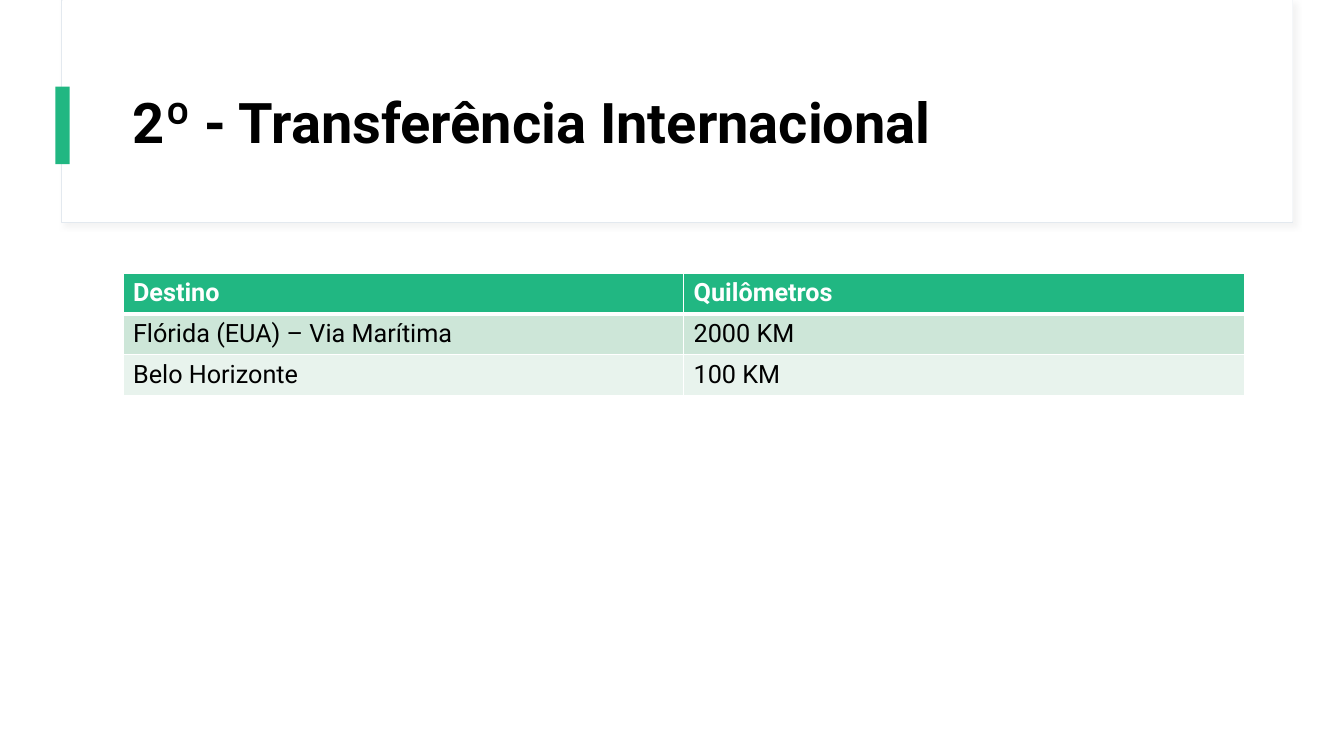
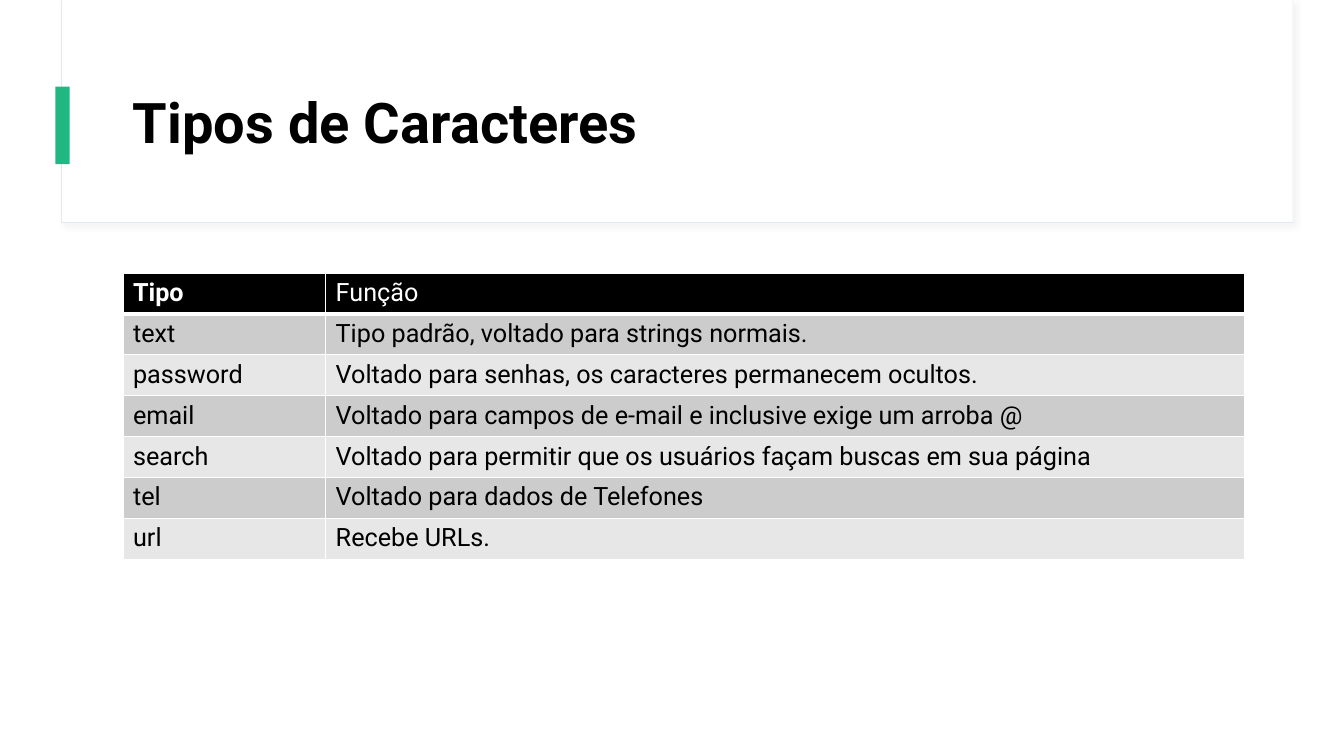
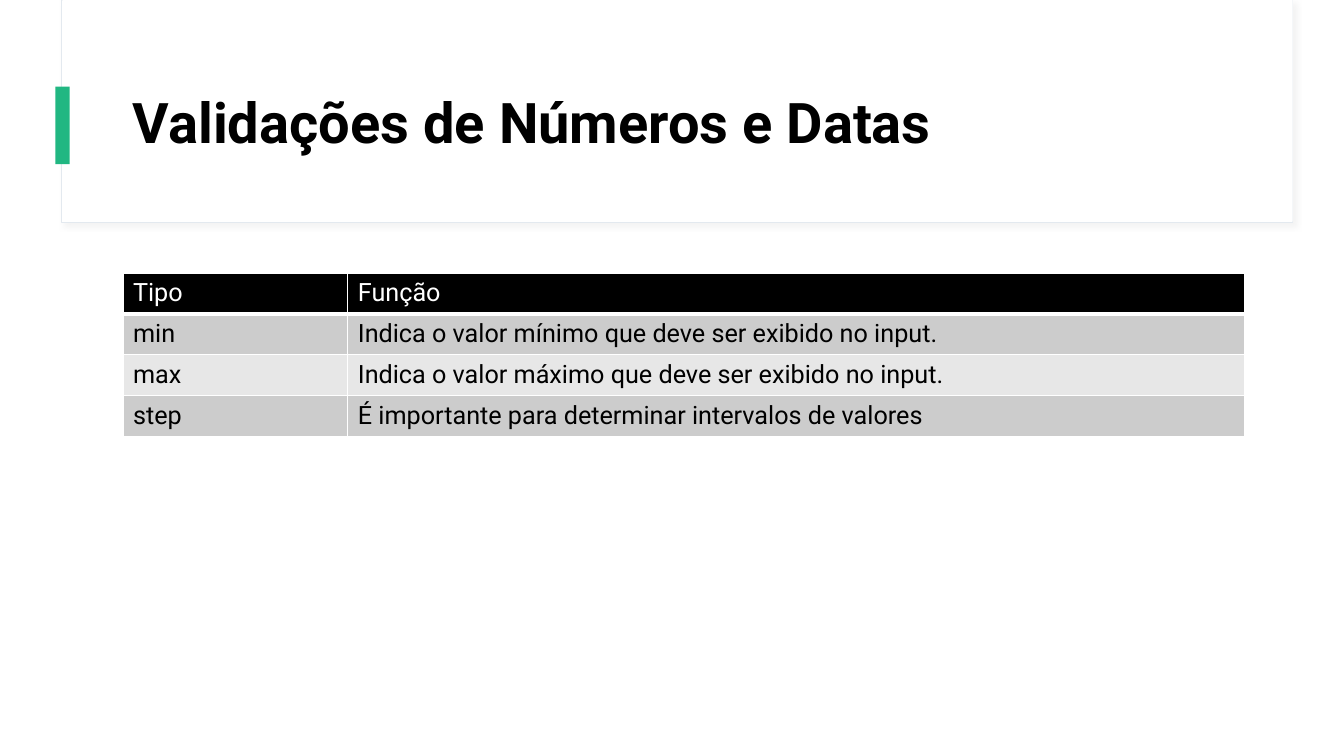
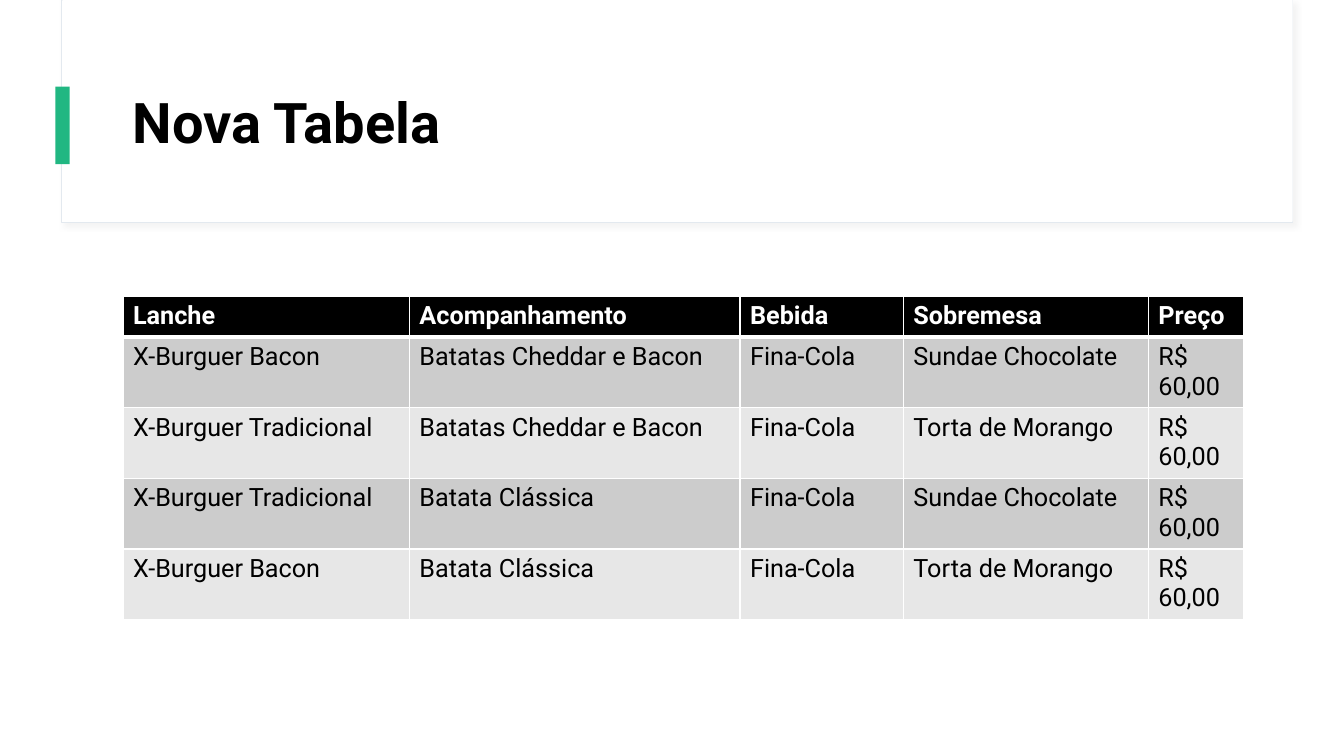
from lxml.etree import SubElement
from pptx import Presentation
from pptx.dml.color import RGBColor
from pptx.enum.shapes import MSO_SHAPE as Shape
from pptx.enum.text import MSO_ANCHOR as Anchor
from pptx.oxml import parse_xml
from pptx.oxml.ns import nsdecls, qn
from pptx.util import Inches, Pt

FONT = "Roboto"
COLORS = {
    "white": "FFFFFF",
    "black": "000000",
    "green": "21B782",
    "outline": "E3E9EF",
    "shadow": "D9D9D9",
    "green_dark_band": "CDE6D8",
    "green_light_band": "E8F3ED",
    "gray_dark_band": "CCCCCC",
    "gray_light_band": "E7E7E7",
}
GREEN_STYLE = ("green", "green_dark_band", "green_light_band")
BLACK_STYLE = ("black", "gray_dark_band", "gray_light_band")
CONTENT_LEFT = 1.22
CONTENT_WIDTH = 11.12
ROW_HEIGHT = Inches(2.84) // 7


def color(name):
    return RGBColor.from_string(COLORS[name])


def write_text(frame, text, size=18, color_name="black", bold=False, line_spacing=None):
    paragraph = frame.paragraphs[0]
    paragraph.line_spacing = line_spacing
    run = paragraph.add_run()
    run.text = text
    run.font.name = FONT
    run.font.size = Pt(size)
    run.font.bold = bold
    run.font.color.rgb = color(color_name)


def add_rectangle(slide, left, top, width, height, fill, line=None):
    shape = slide.shapes.add_shape(
        Shape.RECTANGLE, Inches(left), Inches(top), Inches(width), Inches(height)
    )
    shape.shadow.inherit = False
    shape.fill.solid()
    shape.fill.fore_color.rgb = color(fill)
    if line:
        shape.line.color.rgb = color(line)
        shape.line.width = Pt(0.75)
    else:
        shape.line.fill.background()
    return shape


def add_soft_shadow(shape):
    effects = shape._element.spPr.find(qn("a:effectLst"))
    effects.append(parse_xml(
        f'<a:outerShdw {nsdecls("a")} blurRad="{Pt(4)}" dist="{Pt(3)}" '
        f'dir="{45 * 60000}" algn="tl" rotWithShape="0">'
        f'<a:srgbClr val="{COLORS["shadow"]}"><a:alpha val="30000"/></a:srgbClr>'
        "</a:outerShdw>"
    ))


def add_title(slide, text):
    box = slide.shapes.add_textbox(
        Inches(CONTENT_LEFT), Inches(0.6), Inches(CONTENT_WIDTH), Inches(1.29)
    )
    frame = box.text_frame
    frame.word_wrap = True
    frame.vertical_anchor = Anchor.MIDDLE
    write_text(frame, text, size=40, bold=True, line_spacing=0.9)


def add_titled_slide(presentation, title):
    slide = presentation.slides.add_slide(presentation.slide_layouts[6])
    add_soft_shadow(add_rectangle(slide, 0.61, 0, 12.21, 2.21, "white", line="outline"))
    add_rectangle(slide, 0.62, 0, 12.2, 2.2, "white")
    add_rectangle(slide, 0.55, 0.86, 0.14, 0.77, "green")
    add_title(slide, title)
    return slide


def set_borders(cell, top=1, bottom=1):
    properties = cell._tc.get_or_add_tcPr()
    widths = {"lnL": 1, "lnR": 1, "lnT": top, "lnB": bottom}
    for position, (side, width) in enumerate(widths.items()):
        line = SubElement(properties, qn(f"a:{side}"), w=str(Pt(width)))
        fill = SubElement(line, qn("a:solidFill"))
        SubElement(fill, qn("a:srgbClr"), val=COLORS["white"])
        properties.insert(position, line)


def add_data_table(slide, rows, widths, style, bold_headers, top=2.71, body_height=ROW_HEIGHT):
    header_fill, *band_fills = style
    heights = [ROW_HEIGHT] + [body_height] * (len(rows) - 1)
    table = slide.shapes.add_table(
        len(rows), len(widths), Inches(CONTENT_LEFT), Inches(top),
        Inches(CONTENT_WIDTH), sum(heights),
    ).table
    table.first_row = table.horz_banding = False
    for column, width in zip(table.columns, widths):
        column.width = Inches(width)
    for row_index, (values, height) in enumerate(zip(rows, heights)):
        table.rows[row_index].height = height
        is_header = row_index == 0
        fill = header_fill if is_header else band_fills[(row_index - 1) % 2]
        for column_index, value in enumerate(values):
            cell = table.cell(row_index, column_index)
            cell.fill.solid()
            cell.fill.fore_color.rgb = color(fill)
            set_borders(cell, top=3 if row_index == 1 else 1, bottom=3 if is_header else 1)
            write_text(
                cell.text_frame, value,
                color_name="white" if is_header else "black",
                bold=is_header and column_index < bold_headers,
            )


def main():
    presentation = Presentation()
    presentation.slide_width = Inches(13.33)
    presentation.slide_height = Inches(7.5)

    slide = add_titled_slide(presentation, "2º - Transferência Internacional")
    add_data_table(slide, [
        ("Destino", "Quilômetros"),
        ("Flórida (EUA) – Via Marítima", "2000 KM"),
        ("Belo Horizonte", "100 KM"),
    ], (5.56, 5.56), GREEN_STYLE, bold_headers=2)

    slide = add_titled_slide(presentation, "Tipos de Caracteres")
    add_data_table(slide, [
        ("Tipo", "Função"),
        ("text", "Tipo padrão, voltado para strings normais."),
        ("password", "Voltado para senhas, os caracteres permanecem ocultos."),
        ("email", "Voltado para campos de e-mail e inclusive exige um arroba @"),
        ("search", "Voltado para permitir que os usuários façam buscas em sua página"),
        ("tel", "Voltado para dados de Telefones"),
        ("url", "Recebe URLs."),
    ], (2.01, 9.11), BLACK_STYLE, bold_headers=1)

    slide = add_titled_slide(presentation, "Validações de Números e Datas")
    add_data_table(slide, [
        ("Tipo", "Função"),
        ("min", "Indica o valor mínimo que deve ser exibido no input."),
        ("max", "Indica o valor máximo que deve ser exibido no input."),
        ("step", "É importante para determinar intervalos de valores"),
    ], (2.23, 8.89), BLACK_STYLE, bold_headers=0)

    slide = add_titled_slide(presentation, "Nova Tabela")
    drink, price = "Fina-Cola", "R$ 60,00"
    meals = [
        ("X-Burguer Bacon", "Batatas Cheddar e Bacon", "Sundae Chocolate"),
        ("X-Burguer Tradicional", "Batatas Cheddar e Bacon", "Torta de Morango"),
        ("X-Burguer Tradicional", "Batata Clássica", "Sundae Chocolate"),
        ("X-Burguer Bacon", "Batata Clássica", "Torta de Morango"),
    ]
    add_data_table(slide, [
        ("Lanche", "Acompanhamento", "Bebida", "Sobremesa", "Preço"),
        *[(snack, side, drink, dessert, price) for snack, side, dessert in meals],
    ], (2.84, 3.28, 1.62, 2.43, 0.94), BLACK_STYLE, bold_headers=5,
        top=2.94, body_height=Inches(0.68))

    presentation.save("out.pptx")


if __name__ == "__main__":
    main()
